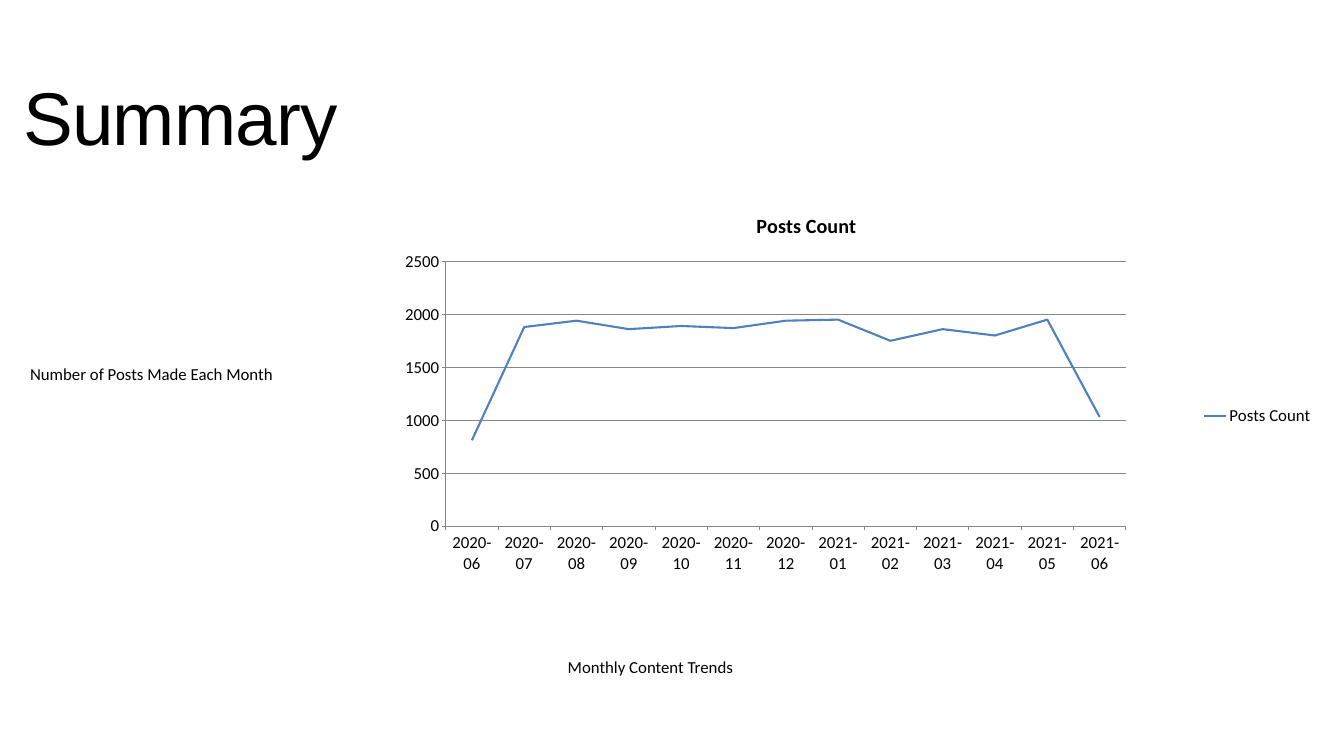
import pptx
import pptx.chart.data
import pptx.dml.color
import pptx.enum.chart
import pptx.oxml
import pptx.oxml.ns
import pptx.util

PX = 9525
MONTHS = [f"2020-{m:02}" for m in range(6, 13)] + [f"2021-{m:02}" for m in range(1, 7)]
POSTS = [810, 1880, 1940, 1860, 1890, 1870, 1940, 1950, 1750, 1860, 1800, 1950, 1030]


def color(value):
    return pptx.dml.color.RGBColor.from_string(value)


class Deck:
    """Holds the style and the current slide, and draws each kind of element."""

    ink = "000000"
    rule = "878787"
    accent = "4F81BD"
    body = "Calibri"
    heading = "Arial"

    def __init__(self, width, height):
        self.prs = pptx.Presentation()
        self.prs.slide_width = width * PX
        self.prs.slide_height = height * PX
        self.s = self.prs.slides.add_slide(self.prs.slide_layouts[6])

    def font(self, font, size, name, bold=False):
        font.size = pptx.util.Pt(size)
        font.name = name
        font.bold = bold
        font.color.rgb = color(self.ink)

    def text(self, box, words, size, name, insets):
        sp = self.s.shapes.add_textbox(*(v * PX for v in box))
        tf = sp.text_frame
        tf.word_wrap = True
        tf.margin_left, tf.margin_top, tf.margin_right, tf.margin_bottom = (v * PX for v in insets)
        p = tf.paragraphs[0]
        r = p.add_run()
        r.text = words
        self.font(r.font, size, name)
        return p, r

    def title(self, box, words):
        p, r = self.text(box, words, 80, self.heading, (0, 0, 0, 0))
        p.line_spacing = pptx.util.Pt(96)
        r.font._element.set("spc", "-80")

    def caption(self, box, words):
        self.text(box, words, 18, self.body, (10, 34, 10, 5))

    def axis(self, axis, grid):
        axis.has_major_gridlines = grid
        axis.major_tick_mark = pptx.enum.chart.XL_TICK_MARK.OUTSIDE
        axis.minor_tick_mark = pptx.enum.chart.XL_TICK_MARK.NONE
        lines = [axis.format.line]
        if grid:
            lines.append(axis.major_gridlines.format.line)
        for line in lines:
            line.color.rgb = color(self.rule)
            line.width = pptx.util.Pt(0.75)
        self.font(axis.tick_labels.font, 18, self.body)

    def line_chart(self, box, name, categories, values, plot_area):
        data = pptx.chart.data.CategoryChartData()
        data.categories = categories
        data.add_series(name, values)
        kind = pptx.enum.chart.XL_CHART_TYPE.LINE
        chart = self.s.shapes.add_chart(kind, *(v * PX for v in box), data).chart
        self.font(chart.font, 18, self.body)

        chart.has_title = True
        r = chart.chart_title.text_frame.paragraphs[0].add_run()
        r.text = name
        self.font(r.font, 21.6, self.body, bold=True)

        chart.has_legend = True
        chart.legend.position = pptx.enum.chart.XL_LEGEND_POSITION.RIGHT
        chart.legend.include_in_layout = False
        self.font(chart.legend.font, 18, self.body)

        self.axis(chart.category_axis, False)
        self.axis(chart.value_axis, True)
        chart.value_axis.minimum_scale = 0
        chart.value_axis.maximum_scale = 2500
        chart.value_axis.major_unit = 500

        plot = chart.plots[0]
        plot.vary_by_categories = False
        series = plot.series[0]
        series.smooth = False
        series.marker.style = pptx.enum.chart.XL_MARKER_STYLE.NONE
        series.format.line.color.rgb = color(self.accent)
        series.format.line.width = pptx.util.Pt(2.25)
        self.place_plot(chart, plot_area)

    def place_plot(self, chart, plot_area):
        area = chart._chartSpace.chart.plotArea
        for old in area.findall(pptx.oxml.ns.qn("c:layout")):
            area.remove(old)
        parts = [("layoutTarget", "inner"), ("xMode", "edge"), ("yMode", "edge")]
        parts += zip("xywh", plot_area)
        inner = "".join(f'<c:{tag} val="{val}"/>' for tag, val in parts)
        ns = pptx.oxml.ns.nsdecls("c")
        xml = f"<c:layout {ns}><c:manualLayout>{inner}</c:manualLayout></c:layout>"
        area.insert(0, pptx.oxml.parse_xml(xml))


def main():
    deck = Deck(1920, 1080)
    deck.title((33, 101, 493, 130), "Summary")
    deck.caption((801, 909, 768, 96), "Monthly Content Trends")
    deck.caption((33, 490, 543, 68), "Number of Posts Made Each Month")
    deck.line_chart((416, 279, 1472, 630), "Posts Count", MONTHS, POSTS, (0.15, 0.15, 0.66, 0.6))
    deck.prs.save("out.pptx")


if __name__ == "__main__":
    main()
